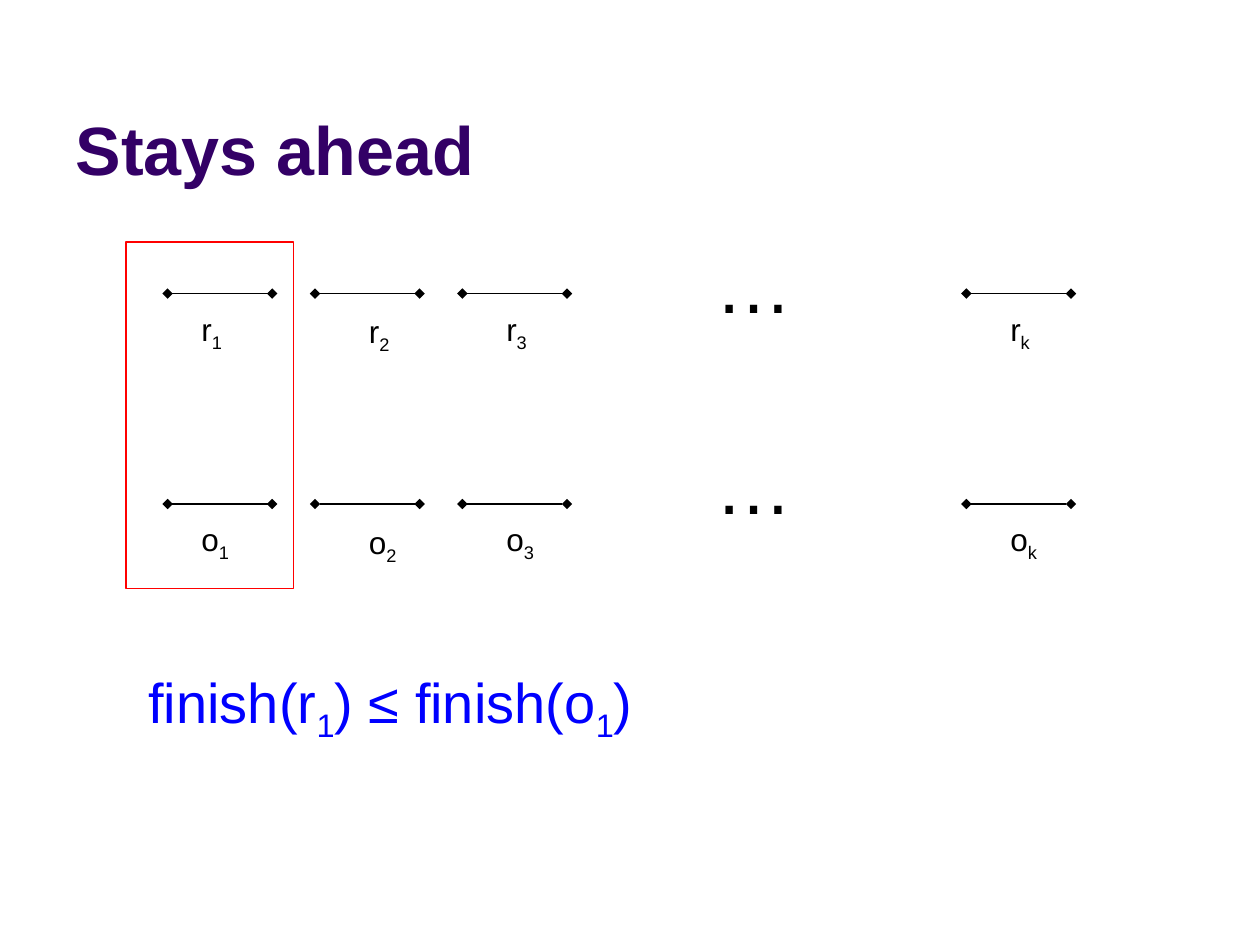
from lxml.etree import SubElement
from pptx import Presentation
from pptx.dml.color import RGBColor
from pptx.enum.shapes import MSO_CONNECTOR, MSO_SHAPE
from pptx.enum.text import MSO_ANCHOR, MSO_AUTO_SIZE, PP_ALIGN
from pptx.oxml.ns import qn
from pptx.util import Inches, Pt

TITLE = "Stays ahead"
# (subscript, interval start, label left, label offset below the interval)
INTERVALS = [
    ("1", 1.33, 1.5, 0.08),
    ("2", 2.5, 2.83, 0.1),
    ("3", 3.67, 3.92, 0.08),
    ("k", 7.67, 7.92, 0.08),
]
# (schedule letter, interval height on the slide, ellipsis top)
SCHEDULES = [("r", 2.33, 1.83), ("o", 4, 3.42)]
# Text after each "_" alternates between subscript and normal
CLAIM = "finish(r_1_) ≤ finish(o_1_)"
INTERVAL_LENGTH = 0.83


def color(hex_code):
    return RGBColor.from_string(hex_code)


def write(frame, text, size, hex_code="000000", bold=False):
    """Fill the frame with text in which underscores switch subscript on and off."""
    paragraph = frame.paragraphs[0]
    paragraph.alignment = PP_ALIGN.LEFT
    for index, part in enumerate(text.split("_")):
        if not part:
            continue
        run = paragraph.add_run()
        run.text = part
        font = run.font
        font.name, font.size, font.bold = "Arial", Pt(size), bold
        font.color.rgb = color(hex_code)
        if index % 2:
            font._element.set("baseline", "-25000")
    return paragraph


def add_text(shapes, text, left, top, width, height, **style):
    box = shapes.add_textbox(*map(Inches, (left, top, width, height)))
    box.text_frame.word_wrap = True
    box.text_frame.auto_size = MSO_AUTO_SIZE.SHAPE_TO_FIT_TEXT
    paragraph = write(box.text_frame, text, **style)
    spacing = SubElement(paragraph._p.get_or_add_pPr(), qn("a:spcBef"))
    SubElement(spacing, qn("a:spcPct"), val="50000")


def add_interval(shapes, start, y):
    interval = shapes.add_connector(
        MSO_CONNECTOR.STRAIGHT,
        Inches(start), Inches(y), Inches(start + INTERVAL_LENGTH), Inches(y))
    interval.line.color.rgb = color("000000")
    interval.line.width = Pt(0.75)
    outline = interval.line._get_or_add_ln()
    for end in ("a:headEnd", "a:tailEnd"):
        SubElement(outline, qn(end), type="diamond")
    SubElement(interval._element.spPr, qn("a:effectLst"))


def add_schedule(slide, letter, y, ellipsis_top):
    shapes = slide.shapes.add_group_shape().shapes
    add_text(shapes, "…", 5.58, ellipsis_top, 1.08, 0.83, size=44)
    for subscript, start, label_left, label_offset in INTERVALS:
        add_interval(shapes, start, y)
        add_text(shapes, f"{letter}_{subscript}", label_left, y + label_offset,
                 0.5, 0.4, size=18)


def main():
    prs = Presentation()
    prs.slide_width, prs.slide_height = Inches(10), Inches(7.5)
    slide = prs.slides.add_slide(prs.slide_layouts[5])

    title = slide.shapes.title
    title.left, title.top, title.width, title.height = map(Inches, (0.5, 0.13, 9, 1.42))
    title.text_frame.vertical_anchor = MSO_ANCHOR.BOTTOM
    write(title.text_frame, TITLE, size=39, hex_code="330066", bold=True)

    for schedule in SCHEDULES:
        add_schedule(slide, *schedule)

    first_pair = slide.shapes.add_shape(
        MSO_SHAPE.RECTANGLE, *map(Inches, (1, 1.92, 1.33, 2.75)))
    first_pair.shadow.inherit = False
    first_pair.fill.background()
    first_pair.line.color.rgb = color("FF0000")
    first_pair.line.width = Pt(0.75)

    add_text(slide.shapes, CLAIM, 1.08, 5.25, 4.17, 0.63, size=32, hex_code="0000FF")
    prs.save("out.pptx")


if __name__ == "__main__":
    main()
